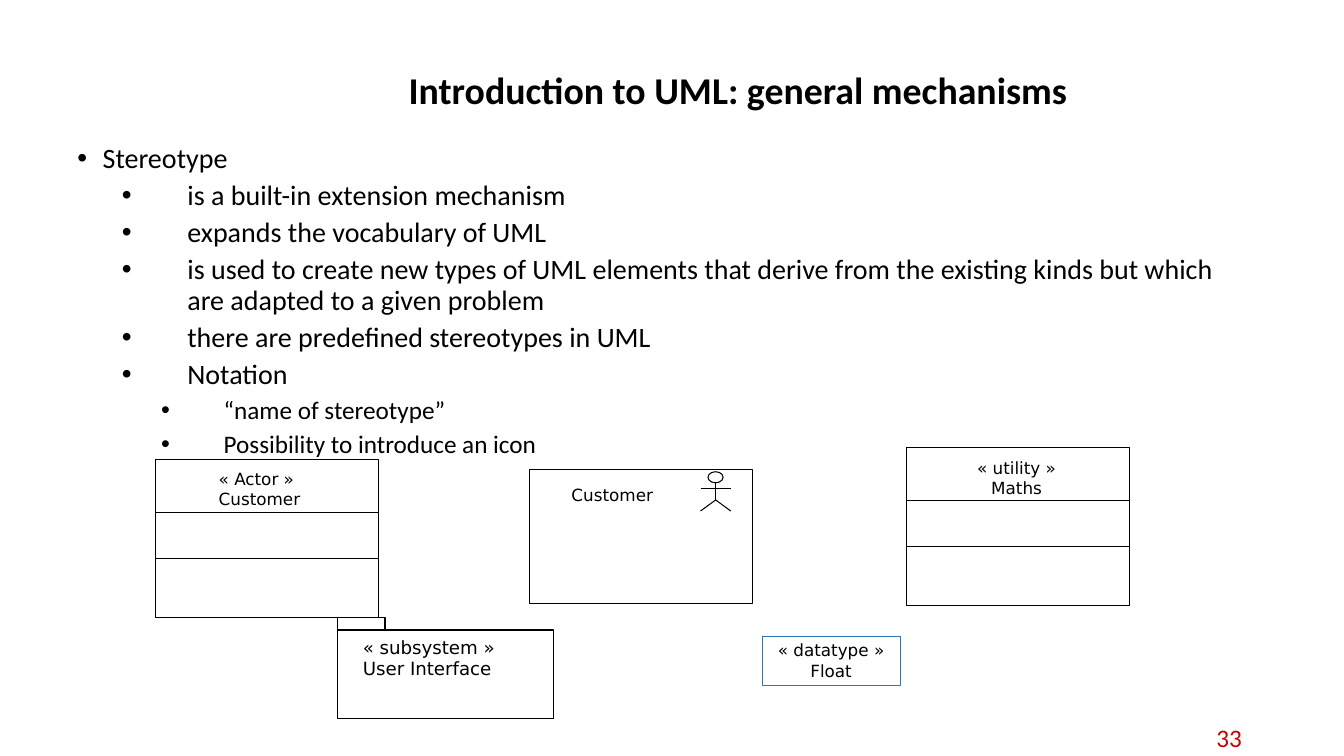
from dataclasses import dataclass

import pptx
import pptx.dml.color
import pptx.enum.shapes
import pptx.enum.text
import pptx.oxml.ns
import pptx.util
from lxml import etree

RGBColor = pptx.dml.color.RGBColor
Align = pptx.enum.text.PP_ALIGN
Anchor = pptx.enum.text.MSO_ANCHOR

BLACK = RGBColor(0x00, 0x00, 0x00)
RED = RGBColor(0xCC, 0x00, 0x00)
BLUE = RGBColor(0x2E, 0x75, 0xB6)
BODY_FONT = "Calibri"
DIAGRAM_FONT = "DejaVu Sans"

# The grid: 40 columns by 30 rows over the whole slide
SLIDE_WIDTH = pptx.util.Inches(13.33)
SLIDE_HEIGHT = pptx.util.Inches(7.5)
COLUMN = SLIDE_WIDTH / 40
ROW = SLIDE_HEIGHT / 30
LINE_WIDTH = pptx.util.Pt(0.75)


@dataclass(frozen=True)
class Area:
    column: float
    row: float
    columns: float
    rows: float

    def lengths(self) -> tuple[int, int, int, int]:
        return (round(self.column * COLUMN), round(self.row * ROW),
                round(self.columns * COLUMN), round(self.rows * ROW))


@dataclass(frozen=True)
class TextStyle:
    size: float
    font: str = DIAGRAM_FONT
    color: RGBColor = BLACK
    bold: bool = False
    align: Align = Align.LEFT


@dataclass(frozen=True)
class Level:
    margin: float
    hanging: float
    size: float


@dataclass(frozen=True)
class Label:
    area: Area
    text: str
    style: TextStyle


@dataclass(frozen=True)
class Figure:
    boxes: tuple[Area, ...]
    label: Label
    dividers: tuple[float, ...] = ()
    has_actor: bool = False


LEVELS = (Level(0.25, 0.25, 20), Level(1.09, 0.65, 20), Level(1.45, 0.62, 18))
BULLETS = (
    (0, "Stereotype"),
    (1, "is a built-in extension mechanism"),
    (1, "expands the vocabulary of UML"),
    (1, "is used to create new types of UML elements that derive from the "
        "existing kinds but which are adapted to a given problem"),
    (1, "there are predefined stereotypes in UML"),
    (1, "Notation"),
    (2, "“name of stereotype”"),
    (2, "Possibility to introduce an icon"),
)

LABEL = TextStyle(12)
CENTERED_LABEL = TextStyle(12, align=Align.CENTER)
CLASS_DIVIDERS = (2.1, 3.92)
FIGURES = (
    Figure((Area(4.62, 18.24, 6.66, 6.28),),
           Label(Area(6.36, 18.4, 2.76, 2.4), "« Actor »\nCustomer", LABEL),
           CLASS_DIVIDERS),
    Figure((Area(15.75, 18.64, 6.66, 5.32),),
           Label(Area(16.86, 19.04, 2.76, 1.2), "Customer", LABEL),
           has_actor=True),
    Figure((Area(10.05, 25, 6.42, 3.52), Area(10.05, 24.52, 1.41, 0.48)),
           Label(Area(10.65, 25.04, 4.35, 2.16),
                 "« subsystem »\nUser Interface", TextStyle(13))),
    Figure((Area(26.97, 17.76, 6.66, 6.28),),
           Label(Area(28.89, 17.96, 2.73, 2.4), "« utility »\nMaths",
                 CENTERED_LABEL),
           CLASS_DIVIDERS),
)
DATATYPE = Label(Area(22.68, 25.24, 4.11, 1.96), "« datatype »\nFloat",
                 CENTERED_LABEL)

# Stick figure: head, then trunk, arms and two legs
ACTOR_HEAD = Area(21.07, 18.72, 0.45, 0.44)
ACTOR_LIMBS = (
    Area(21.3, 19.16, 0, 0.68),
    Area(20.85, 19.4, 0.9, 0),
    Area(21.3, 19.84, -0.45, 0.44),
    Area(21.3, 19.84, 0.45, 0.44),
)


def format_runs(paragraph, style: TextStyle) -> None:
    paragraph.alignment = style.align
    for run in paragraph.runs:
        run.font.name = style.font
        run.font.size = pptx.util.Pt(style.size)
        run.font.bold = style.bold
        run.font.color.rgb = style.color


def add_text(shapes, area: Area, text: str, style: TextStyle,
             anchor: Anchor = Anchor.MIDDLE):
    shape = shapes.add_textbox(*area.lengths())
    text_frame = shape.text_frame
    text_frame.word_wrap = True
    text_frame.vertical_anchor = anchor
    text_frame.text = text
    for paragraph in text_frame.paragraphs:
        format_runs(paragraph, style)
    return shape


def add_label(shapes, label: Label, inset: float = 0.05, wrap: bool = False):
    shape = add_text(shapes, label.area, label.text, label.style, Anchor.TOP)
    text_frame = shape.text_frame
    text_frame.word_wrap = wrap
    text_frame.auto_size = pptx.enum.text.MSO_AUTO_SIZE.SHAPE_TO_FIT_TEXT
    for side in ("left", "top", "right", "bottom"):
        setattr(text_frame, f"margin_{side}", pptx.util.Inches(inset))
    return shape


def add_outline(shapes, kind: pptx.enum.shapes.MSO_SHAPE, area: Area) -> None:
    shape = shapes.add_shape(kind, *area.lengths())
    shape.shadow.inherit = False
    shape.fill.background()
    shape.line.color.rgb = BLACK
    shape.line.width = LINE_WIDTH


def add_line(shapes, area: Area) -> None:
    left, top, width, height = area.lengths()
    connector = shapes.add_connector(pptx.enum.shapes.MSO_CONNECTOR.STRAIGHT,
                                     left, top, left + width, top + height)
    connector.line.color.rgb = BLACK
    connector.line.width = LINE_WIDTH
    etree.SubElement(connector._element.spPr, pptx.oxml.ns.qn("a:effectLst"))


def add_figure(slide, figure: Figure) -> None:
    shapes = slide.shapes.add_group_shape().shapes
    for box in figure.boxes:
        add_outline(shapes, pptx.enum.shapes.MSO_SHAPE.RECTANGLE, box)
    frame = figure.boxes[0]
    for offset in figure.dividers:
        add_line(shapes, Area(frame.column, frame.row + offset, frame.columns, 0))
    add_label(shapes, figure.label)
    if figure.has_actor:
        add_outline(shapes, pptx.enum.shapes.MSO_SHAPE.OVAL, ACTOR_HEAD)
        for limb in ACTOR_LIMBS:
            add_line(shapes, limb)


def add_bullets(slide, area: Area) -> None:
    text = "\n".join(line for _, line in BULLETS)
    shape = add_text(slide.shapes, area, text, TextStyle(20, BODY_FONT), Anchor.TOP)
    for index, paragraph in enumerate(shape.text_frame.paragraphs):
        depth = BULLETS[index][0]
        level = LEVELS[depth]
        properties = paragraph._p.get_or_add_pPr()
        properties.set("marL", str(pptx.util.Inches(level.margin)))
        properties.set("indent", str(-pptx.util.Inches(level.hanging)))
        bullet_font = etree.SubElement(properties, pptx.oxml.ns.qn("a:buFont"))
        bullet_font.set("typeface", "Arial")
        bullet = etree.SubElement(properties, pptx.oxml.ns.qn("a:buChar"))
        bullet.set("char", "•")
        paragraph.level = depth
        paragraph.line_spacing = 0.9
        paragraph.space_before = pptx.util.Pt(5 if index else 0)
        format_runs(paragraph, TextStyle(level.size, BODY_FONT))


def main() -> None:
    presentation = pptx.Presentation()
    presentation.slide_width = SLIDE_WIDTH
    presentation.slide_height = SLIDE_HEIGHT
    slide = presentation.slides.add_slide(presentation.slide_layouts[6])

    # Slide number, title and bullets
    add_text(slide.shapes, Area(28.26, 28.56, 9, 1.44), "33",
             TextStyle(18, BODY_FONT, RED, align=Align.RIGHT))
    title = add_text(slide.shapes, Area(6.69, 1.6, 30.54, 4.08),
                     "Introduction to UML: general mechanisms",
                     TextStyle(27, BODY_FONT, bold=True, align=Align.CENTER))
    title.text_frame.paragraphs[0].line_spacing = 0.9
    add_bullets(slide, Area(2.01, 5.52, 35.4, 23.2))

    # Stereotype examples
    for figure in FIGURES:
        add_figure(slide, figure)
    datatype = add_label(slide.shapes, DATATYPE, inset=0.04, wrap=True)
    datatype.line.color.rgb = BLUE
    datatype.line.width = LINE_WIDTH

    presentation.save("out.pptx")


if __name__ == "__main__":
    main()
